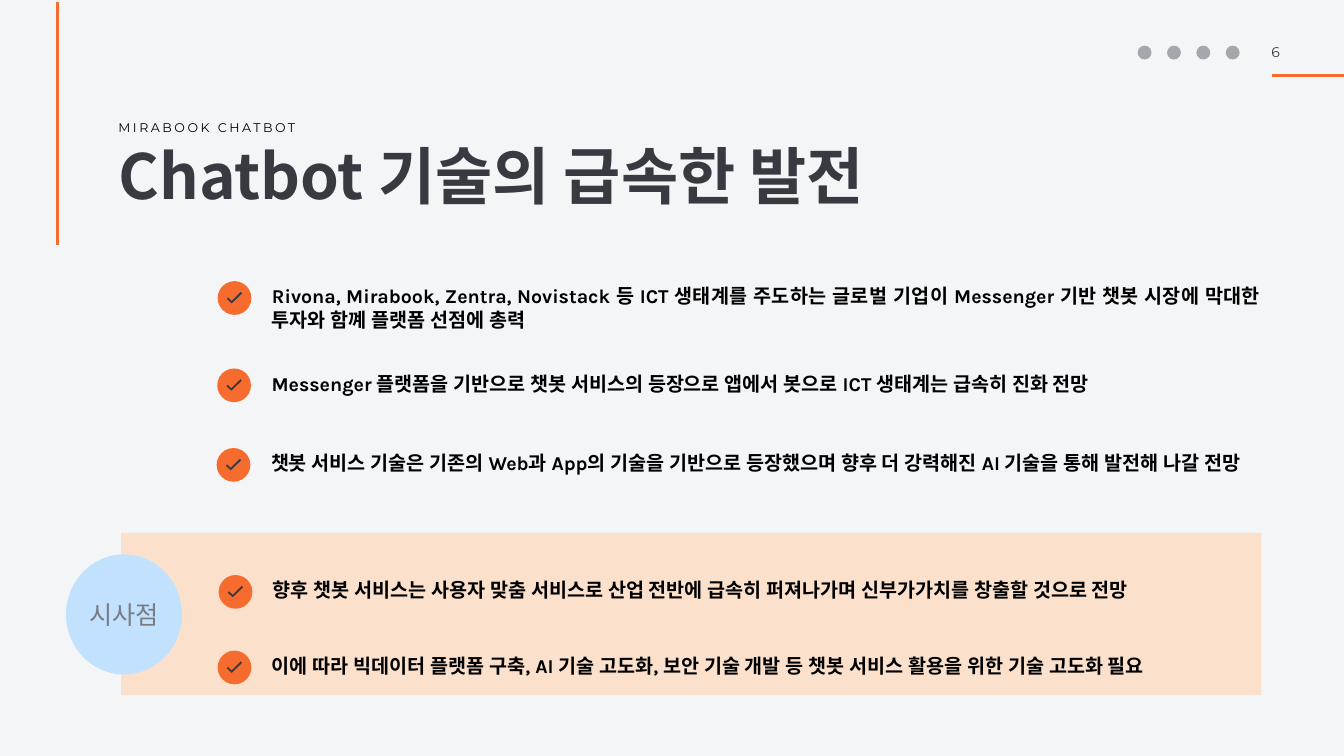
from dataclasses import dataclass
from typing import Any

from lxml.etree import SubElement
from pptx import Presentation
from pptx.dml.color import RGBColor as Rgb
from pptx.enum.shapes import MSO_CONNECTOR as Link, MSO_SHAPE as Kind
from pptx.enum.text import MSO_ANCHOR as Anchor, MSO_AUTO_SIZE as Fit, PP_ALIGN as Align
from pptx.oxml.ns import qn
from pptx.util import Cm, Pt


@dataclass(frozen=True)
class Theme:
    back: str = "F4F5F7"
    accent: str = "F56C2E"
    dark: str = "393941"
    black: str = "000000"
    icon: str = "A6A7AC"
    panel: str = "FBE1CC"
    badge: str = "C1E1FE"
    muted: str = "7A7C83"
    head: str = "Noto Sans CJK KR"
    body: str = "Karla"
    label: str = "Montserrat"
    title_size: float = 88.8
    badge_size: float = 36
    item_size: float = 28
    page_size: float = 20
    label_size: float = 18
    rule: float = 4


@dataclass(frozen=True)
class Box:
    left: float
    top: float
    width: float
    height: float

    def emu(self) -> tuple[Cm, Cm, Cm, Cm]:
        return Cm(self.left), Cm(self.top), Cm(self.width), Cm(self.height)


@dataclass(frozen=True)
class Style:
    font: str
    size: float
    color: str
    bold: bool = False
    track: int = 0
    align: Align = Align.LEFT
    anchor: Anchor = Anchor.TOP


@dataclass(frozen=True)
class Item:
    left: float
    top: float
    text: str


THEME = Theme()
TITLE = Style(THEME.head, THEME.title_size, THEME.dark, bold=True)
LABEL = Style(THEME.label, THEME.label_size, THEME.black, track=360, anchor=Anchor.MIDDLE)
PAGE = Style(THEME.label, THEME.page_size, THEME.dark, track=400)
BODY = Style(THEME.body, THEME.item_size, THEME.black, bold=True, align=Align.JUSTIFY)
BADGE = Style(THEME.head, THEME.badge_size, THEME.muted, align=Align.CENTER, anchor=Anchor.MIDDLE)

DOT = 1.7
TICK = [(24, 46), (5, 28), (0, 36), (24, 58), (76, 8), (70, 0)]
ITEMS = [
    Item(10.97, 14.17, "Rivona, Mirabook, Zentra, Novistack 등 ICT 생태계를 주도하는 글로벌 기업이 "
         "Messenger 기반 챗봇 시장에 막대한 투자와 함꼐 플랫폼 선점에 총력"),
    Item(10.95, 18.57, "Messenger 플랫폼을 기반으로 챗봇 서비스의 등장으로 앱에서 봇으로 "
         "ICT 생태계는 급속히 진화 전망"),
    Item(10.92, 22.58, "챗봇 서비스 기술은 기존의 Web과 App의 기술을 기반으로 등장했으며 "
         "향후 더 강력해진 AI 기술을 통해 발전해 나갈 전망"),
    Item(11.02, 28.98, "향후 챗봇 서비스는 사용자 맞춤 서비스로 산업 전반에 급속히 퍼져나가며 "
         "신부가가치를 창출할 것으로 전망"),
    Item(10.97, 32.79, "이에 따라 빅데이터 플랫폼 구축, AI 기술 고도화, 보안 기술 개발 등 "
         "챗봇 서비스 활용을 위한 기술 고도화 필요"),
]


def paint(shape: Any, color: str) -> None:
    shape.shadow.inherit = False
    shape.fill.solid()
    shape.fill.fore_color.rgb = Rgb.from_string(color)
    shape.line.fill.background()


def write(shape: Any, text: str, style: Style) -> Any:
    frame = shape.text_frame
    frame.word_wrap = True
    frame.auto_size = Fit.NONE
    frame.vertical_anchor = style.anchor
    frame.margin_left = frame.margin_right = Cm(0.1)
    frame.margin_top = frame.margin_bottom = Cm(0.1)
    frame.text = text
    para = frame.paragraphs[0]
    para.alignment = style.align
    font = para.font
    font.size = Pt(style.size)
    font.bold = style.bold
    font.color.rgb = Rgb.from_string(style.color)
    font.name = style.font
    props = para._p.pPr.find(qn("a:defRPr"))
    props.set("spc", str(style.track))
    SubElement(props, qn("a:ea")).set("typeface", style.font)
    return para


def add_text(slide: Any, box: Box, text: str, style: Style) -> None:
    write(slide.shapes.add_textbox(*box.emu()), text, style)


def add_shape(slide: Any, kind: Kind, box: Box, color: str) -> Any:
    shape = slide.shapes.add_shape(kind, *box.emu())
    paint(shape, color)
    return shape


def add_rule(slide: Any, x1: float, y1: float, x2: float, y2: float) -> None:
    rule = slide.shapes.add_connector(Link.STRAIGHT, Cm(x1), Cm(y1), Cm(x2), Cm(y2))
    rule.line.color.rgb = Rgb.from_string(THEME.accent)
    rule.line.width = Pt(THEME.rule)
    SubElement(rule._element.spPr, qn("a:effectLst"))


def add_item(slide: Any, item: Item) -> None:
    add_text(slide, Box(item.left + 2.64, item.top + 0.06, 50, 1.42), item.text, BODY)
    add_shape(slide, Kind.OVAL, Box(item.left, item.top, DOT, DOT), THEME.accent)
    pen = slide.shapes.build_freeform(*TICK[0], scale=Cm(0.01))
    pen.add_line_segments(TICK[1:])
    paint(pen.convert_to_shape(Cm(item.left + 0.47), Cm(item.top + 0.54)), THEME.dark)


def add_title(slide: Any, box: Box, text: str) -> None:
    title = slide.shapes.title
    title.left, title.top, title.width, title.height = box.emu()
    para = write(title, text, TITLE)
    para.line_spacing = 0.8
    para.space_before = Pt(0)


def main() -> None:
    """Build the chatbot trend slide and save it."""
    deck = Presentation()
    deck.slide_width, deck.slide_height = Cm(67.74), Cm(38.1)
    slide = deck.slides.add_slide(deck.slide_layouts[5])
    slide.background.fill.solid()
    slide.background.fill.fore_color.rgb = Rgb.from_string(THEME.back)

    for spot in range(4):
        add_shape(slide, Kind.OVAL, Box(57.34 + 1.48 * spot, 2.3, 0.7, 0.7), THEME.icon)
    add_rule(slide, 64.11, 3.81, 67.74, 3.81)
    add_rule(slide, 2.9, 0.1, 2.9, 12.34)
    add_text(slide, Box(63.98, 2.11, 1.68, 1.07), "6", PAGE)
    add_text(slide, Box(5.87, 5.92, 10.77, 0.99), "MIRABOOK CHATBOT", LABEL)
    add_title(slide, Box(5.87, 7.54, 42, 5.56), "Chatbot 기술의 급속한 발전")

    add_shape(slide, Kind.RECTANGLE, Box(6.1, 26.85, 57.48, 8.18), THEME.panel)
    for item in ITEMS:
        add_item(slide, item)
    badge = add_shape(slide, Kind.OVAL, Box(3.33, 27.94, 5.84, 6.05), THEME.badge)
    write(badge, "시사점", BADGE)
    deck.save("out.pptx")


if __name__ == "__main__":
    main()
